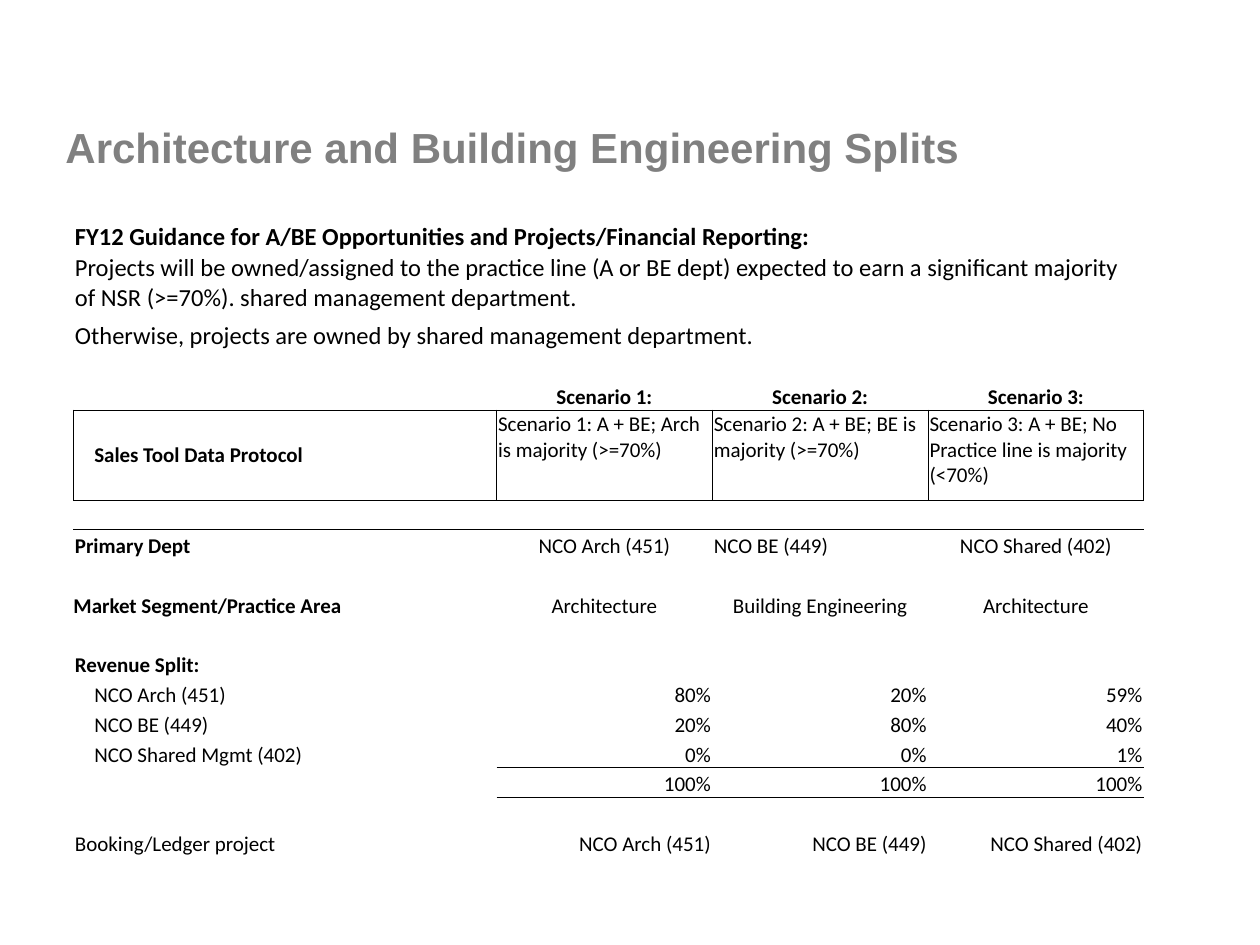
from lxml import etree
from pptx import Presentation
from pptx import util as u
from pptx.dml.color import RGBColor
from pptx.enum import text
from pptx.oxml.ns import qn

COLORS = {"title": "808080", "text": "000000", "rule": "000000"}
LEFT, CENTER, RIGHT = text.PP_ALIGN.LEFT, text.PP_ALIGN.CENTER, text.PP_ALIGN.RIGHT
TOP, MIDDLE, BOTTOM = (text.MSO_ANCHOR.TOP, text.MSO_ANCHOR.MIDDLE,
                       text.MSO_ANCHOR.BOTTOM)
NO_STYLE = "{2D5ABB26-0587-4C30-8999-92F81FD0307C}"
INSET, INDENT = 0.03, 0.42
LABEL_W, SCENARIO_W = 8.53, 4.35
ROW_H = 0.6

GUIDANCE = [
    ("FY12 Guidance for A/BE Opportunities and Projects/Financial Reporting:", True),
    ("Projects will be owned/assigned to the practice line (A or BE dept) expected "
     "to earn a significant majority of NSR (>=70%). shared management department.",
     False),
    ("Otherwise, projects are owned by shared management department.", False),
]

# Row number: label, scenario values, row format
SCENARIO_ROWS = {
    4: ("", ["Scenario 1:", "Scenario 2:", "Scenario 3:"],
        dict(align=CENTER, bold_values=True)),
    5: ("Sales Tool Data Protocol",
        ["Scenario 1: A + BE; Arch is majority (>=70%)",
         "Scenario 2: A + BE; BE is majority (>=70%)",
         "Scenario 3: A + BE; No Practice line is majority (<70%)"],
        dict(bold=True, left=INDENT, label_anchor=MIDDLE, anchor=TOP)),
    7: ("Primary Dept", ["NCO Arch (451)", "NCO BE (449)", "NCO Shared (402)"],
        dict(bold=True, align=(CENTER, LEFT, CENTER))),
    9: ("Market Segment/Practice Area",
        ["Architecture", "Building Engineering", "Architecture"],
        dict(bold=True, align=CENTER, left=0)),
    11: ("Revenue Split:", ["", "", ""], dict(bold=True)),
    12: ("NCO Arch (451)", ["80%", "20%", "59%"], dict(left=INDENT, align=RIGHT)),
    13: ("NCO BE (449)", ["20%", "80%", "40%"], dict(left=INDENT, align=RIGHT)),
    14: ("NCO Shared Mgmt (402)", ["0%", "0%", "1%"], dict(left=INDENT, align=RIGHT)),
    15: ("", ["100%"] * 3, dict(align=RIGHT)),
    17: ("Booking/Ledger project",
         ["NCO Arch (451)", "NCO BE (449)", "NCO Shared (402)"], dict(align=RIGHT)),
}
ROW_COUNT = 18


def write(tf, s, font="Calibri", size=12, color="text", bold=False, align=LEFT):
    tf.word_wrap = True
    p = tf.paragraphs[0]
    p.alignment = align
    if not s:  # keeps an empty row at its height
        etree.SubElement(p._p, qn("a:endParaRPr"), sz=str(size * 100))
        return
    r = p.add_run()
    r.text = s
    r.font.name, r.font.size, r.font.bold = font, u.Pt(size), bold
    r.font.color.rgb = RGBColor.from_string(COLORS[color])


def add_borders(cell, sides):
    tcPr = cell._tc.get_or_add_tcPr()
    for side in sides:  # in the order L, R, T, B
        ln = etree.SubElement(tcPr, qn("a:ln" + side), w=str(u.Pt(0.5)))
        fill = etree.SubElement(ln, qn("a:solidFill"))
        etree.SubElement(fill, qn("a:srgbClr"), val=COLORS["rule"])


def fill_cell(cell, s, left=INSET, anchor=BOTTOM, borders="", **fmt):
    cell.margin_left, cell.margin_right = u.Cm(left), u.Cm(INSET)
    cell.margin_top, cell.margin_bottom = u.Cm(INSET), 0
    cell.vertical_anchor = anchor
    write(cell.text_frame, s, **fmt)
    add_borders(cell, borders)
    cell.fill.background()


def borders_at(row, col):
    if row == 14:
        return "B" if col else ""
    if row == 15:
        return "T" if col else ""
    return {4: "B", 5: "LRTB", 6: "T"}.get(row, "")


def fill_scenario_row(tbl, row, label, values, bold=False, left=INSET,
                      label_anchor=BOTTOM, anchor=BOTTOM, align=LEFT,
                      bold_values=False):
    fill_cell(tbl.cell(row, 0), label, left=left, anchor=label_anchor, bold=bold,
              borders=borders_at(row, 0))
    aligns = align if isinstance(align, tuple) else (align,) * 3
    for col, (value, al) in enumerate(zip(values, aligns), 1):
        fill_cell(tbl.cell(row, col), value, anchor=anchor, align=al,
                  bold=bold_values, borders=borders_at(row, col))


def add_title(slide, x, y, w, h):
    tf = slide.shapes.add_textbox(u.Cm(x), u.Cm(y), u.Cm(w), u.Cm(h)).text_frame
    tf.vertical_anchor = BOTTOM
    write(tf, "Architecture and Building Engineering Splits", font="Arial", size=24,
          color="title", bold=True)


def add_split_table(slide, x, y):
    widths = [LABEL_W] + [SCENARIO_W] * 3
    heights = [ROW_H] * ROW_COUNT
    heights[1], heights[5] = 1.37, 1.81
    tbl = slide.shapes.add_table(ROW_COUNT, 4, u.Cm(x), u.Cm(y), u.Cm(sum(widths)),
                                 u.Cm(sum(heights))).table
    tbl.first_row = tbl.horz_banding = False
    tbl._tbl.tblPr.find(qn("a:tableStyleId")).text = NO_STYLE
    for column, w in zip(tbl.columns, widths):
        column.width = u.Cm(w)
    for row, h in zip(tbl.rows, heights):
        row.height = u.Cm(h)

    # Guidance across the full width
    for i, (s, bold) in enumerate(GUIDANCE):
        tbl.cell(i, 0).merge(tbl.cell(i, 3))
        fill_cell(tbl.cell(i, 0), s, size=14, bold=bold, anchor=TOP)

    # Scenarios, with blank rows between the groups
    for i in range(len(GUIDANCE), ROW_COUNT):
        label, values, fmt = SCENARIO_ROWS.get(i, ("", [""] * 3, {}))
        fill_scenario_row(tbl, i, label, values, **fmt)


def main():
    prs = Presentation()
    prs.slide_width, prs.slide_height = u.Cm(25.4), u.Cm(19.05)
    slide = prs.slides.add_slide(prs.slide_layouts[6])
    add_title(slide, 1.07, 0, 23.29, 3.6)
    add_split_table(slide, 1.48, 4.45)
    prs.save("out.pptx")


if __name__ == "__main__":
    main()
